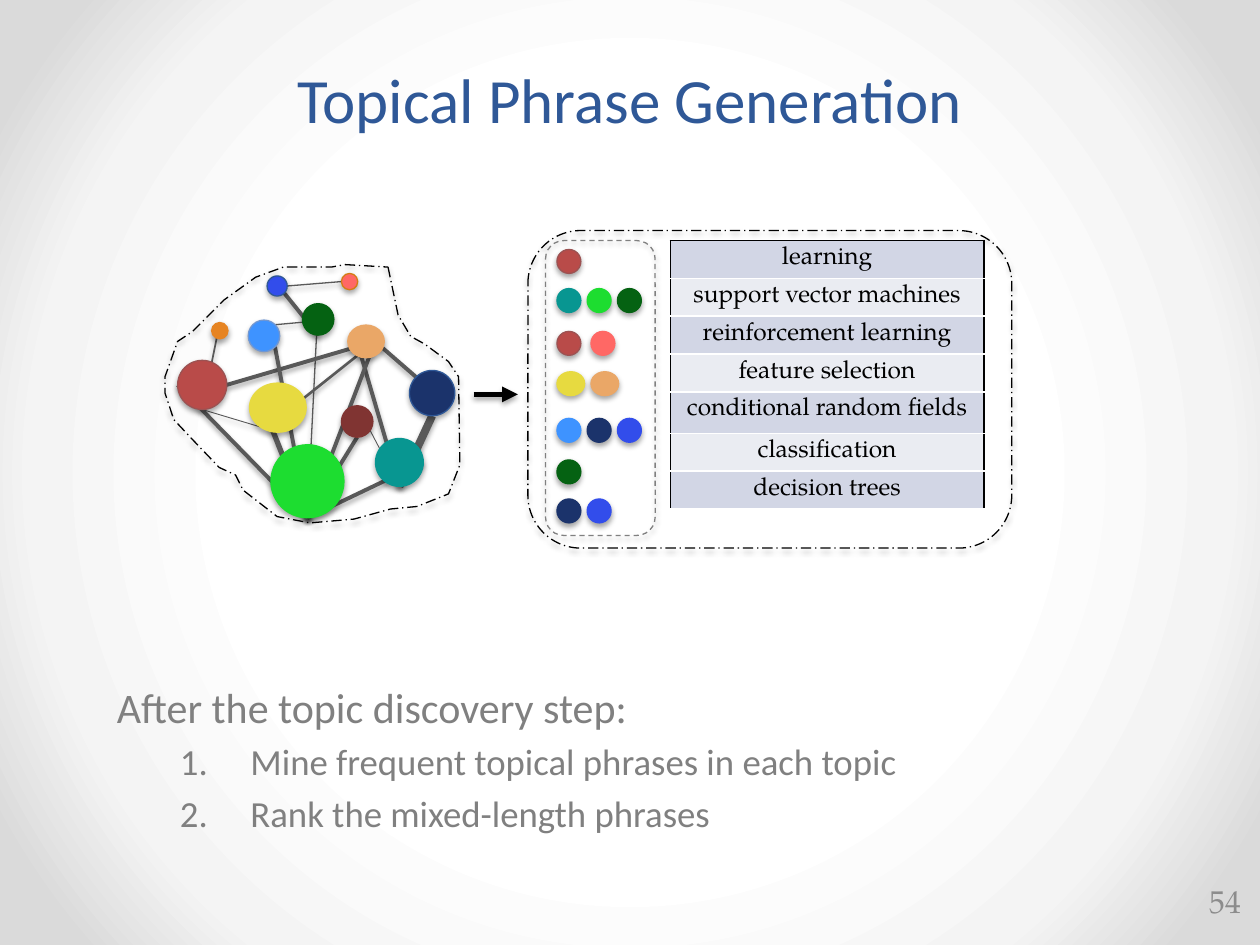
"""Builds the Topical Phrase Generation slide: term network, arrow, ranked phrases and steps."""
from lxml.etree import SubElement
from pptx import Presentation
from pptx.dml.color import RGBColor
from pptx.enum.dml import MSO_LINE as DASH
from pptx.enum.shapes import MSO_CONNECTOR as LINK, MSO_SHAPE as SHAPE
from pptx.enum.text import MSO_ANCHOR as ANCHOR, PP_ALIGN as ALIGN
from pptx.oxml import parse_xml
from pptx.oxml.ns import nsdecls, qn
from pptx.util import Inches, Pt

COLORS = {
    "title": "2F5897", "body": "808080", "number": "8C8C8C", "black": "000000",
    "white": "FFFFFF", "link": "595959", "band": "D2D6E5", "pale": "EAECF2",
    "glow": "F4F4F4", "rim": "DADADA",
    "sky": "3E93FF", "orange": "E68422", "pink": "FF6865", "blue": "324DEB",
    "green": "1DDD30", "yellow": "E7DA40", "brick": "B94B49", "maroon": "803432",
    "teal": "089691", "navy": "1B336B", "forest": "056212", "sand": "EAA767",
    "sky edge": "7097D3", "pink edge": "D47D13", "brick edge": "9C5252",
}
RGB = {name: RGBColor.from_string(value) for name, value in COLORS.items()}
SANS, SERIF = "Calibri", "TeX Gyre Pagella"
FORMATS = {
    "title": {"size": Pt(36), "name": SANS},
    "lead": {"size": Pt(24), "name": SANS},
    "step": {"size": Pt(21), "name": SANS},
    "phrase": {"size": Pt(14), "name": SERIF},
    "number": {"size": Pt(18), "name": SERIF},
}


def write(para, text, style, color):
    span = para.add_run()
    span.text = text
    for attribute, value in FORMATS[style].items():
        setattr(span.font, attribute, value)
    span.font.color.rgb = RGB[color]


def outline(shape, color, width=0.75, dash=None):
    shape.line.color.rgb = RGB[color]
    shape.line.width = Pt(width)
    if dash:
        shape.line.dash_style = dash
    shape.element.spPr.append(parse_xml(
        f'<a:effectLst {nsdecls("a")}><a:outerShdw blurRad="{Pt(3.1)}" dist="{Pt(1.8)}" '
        f'dir="5400000" rotWithShape="0"><a:srgbClr val="{COLORS["black"]}">'
        '<a:alpha val="35000"/></a:srgbClr></a:outerShdw></a:effectLst>'))


deck = Presentation()
deck.slide_width, deck.slide_height = Inches(10), Inches(7.5)
page = deck.slides.add_slide(deck.slide_layouts[5])
shapes = page.shapes

page.background.fill.solid()
background = page.element.find(".//" + qn("p:bgPr"))
stops = "".join(f'<a:gs pos="{percent * 1000}"><a:srgbClr val="{COLORS[name]}"/></a:gs>'
                for percent, name in ((50, "white"), (76, "glow"), (92, "rim")))
background.replace(background[0], parse_xml(
    f'<a:gradFill {nsdecls("a")} rotWithShape="1"><a:gsLst>{stops}</a:gsLst><a:path path="circle">'
    '<a:fillToRect l="50000" t="50000" r="50000" b="50000"/></a:path></a:gradFill>'))

title = shapes.title
title.left, title.top, title.width, title.height = Inches(0.5), Inches(0), Inches(9), Inches(1.13)
title.text_frame.vertical_anchor = ANCHOR.BOTTOM
heading = title.text_frame.paragraphs[0]
heading.alignment, heading.line_spacing = ALIGN.CENTER, Pt(58)
write(heading, "Topical Phrase Generation", "title", "title")

body = shapes.add_textbox(Inches(0.83), Inches(5.36), Inches(8.67), Inches(1.76)).text_frame
body.word_wrap = True
write(body.paragraphs[0], "After the topic discovery step:", "lead", "body")
for step in ("Mine frequent topical phrases in each topic", "Rank the mixed-length phrases"):
    para = body.add_paragraph()
    para.level, para.space_before = 1, Pt(4.2)
    settings = para._p.get_or_add_pPr()
    settings.set("marL", str(Inches(1.06)))
    settings.set("indent", str(Inches(-0.56)))
    SubElement(settings, qn("a:buFont"), typeface="+mj-lt")
    SubElement(settings, qn("a:buAutoNum"), type="arabicPeriod")
    write(para, step, "step", "body")

WORD_DOTS = {
    "learning": ("brick",),
    "support vector machines": ("teal", "green", "forest"),
    "reinforcement learning": ("brick", "pink"),
    "feature selection": ("yellow", "sand"),
    "conditional random fields": ("sky", "navy", "blue"),
    "classification": ("forest",),
    "decision trees": ("navy", "blue"),
}
longest = max(WORD_DOTS, key=len)
frame = shapes.add_table(len(WORD_DOTS), 1, Inches(5.32), Inches(1.91), Inches(2.49), Inches(2.13))
for row, phrase in enumerate(WORD_DOTS):
    frame.table.rows[row].height = Inches(0.33 if phrase == longest else 0.3)
    cell = frame.table.cell(row, 0)
    cell.margin_left = cell.margin_right = cell.margin_top = Inches(0.05)
    cell.margin_bottom = Inches(0)
    para = cell.text_frame.paragraphs[0]
    para.alignment = ALIGN.CENTER
    write(para, phrase, "phrase", "black")
    borders = {"lnL": "black", "lnR": "black", "lnT": "white" if row else "black", "lnB": "white"}
    for side, color in borders.items():
        border = SubElement(cell._tc.get_or_add_tcPr(), qn("a:" + side), w=str(Pt(1)))
        SubElement(SubElement(border, qn("a:solidFill")), qn("a:srgbClr"), val=COLORS[color])
    cell.fill.solid()
    cell.fill.fore_color.rgb = RGB["pale" if row % 2 else "band"]

NODES = {
    "sky": (1.97, 2.54, 0.25, 0.25), "orange": (1.68, 2.56, 0.13, 0.13),
    "pink": (2.71, 2.17, 0.13, 0.13), "blue": (2.12, 2.19, 0.16, 0.16),
    "green": (2.15, 3.53, 0.58, 0.58), "yellow": (1.98, 3.04, 0.45, 0.39),
    "brick": (1.41, 2.86, 0.39, 0.39), "maroon": (2.71, 3.22, 0.25, 0.25),
    "teal": (2.98, 3.48, 0.38, 0.38), "navy": (3.25, 2.94, 0.36, 0.36),
    "forest": (2.4, 2.41, 0.25, 0.25), "sand": (2.76, 2.58, 0.29, 0.26),
}
NODE_EDGES = {"sky": "sky edge", "pink": "pink edge", "brick": "brick edge",
              "blue": "title", "navy": "title"}
SITES = {
    "top": (0, -1), "bottom": (0, 1), "left": (-1, 0), "right": (1, 0),
    "top-left": (-0.7, -0.7), "top-right": (0.7, -0.7), "bottom-right": (0.7, 0.7),
    "inner-left": (-0.5, 0), "inner-right": (0.5, 0),
}
LINKS = (
    ("forest top", "green bottom", 0.75), ("sand inner-right", "yellow inner-right", 1.5),
    ("blue bottom-right", "forest bottom", 2.25), ("brick right", "sand inner-right", 2.25),
    ("navy top-left", "sand inner-right", 2.25), ("orange top", "brick bottom", 1),
    ("green bottom", "maroon bottom", 2.25), ("sky bottom-right", "green bottom", 2.25),
    ("green bottom", "teal right", 2.25), ("sky top-right", "forest right", 0.75),
    ("navy bottom", "teal bottom", 4.5), ("sand inner-left", "teal bottom", 2.25),
    ("maroon top", "teal bottom", 0.5), ("yellow inner-left", "green bottom", 3),
    ("sand inner-right", "green bottom", 2.25), ("brick left", "green bottom", 2.25),
    ("yellow bottom", "brick bottom", 0.5), ("blue right", "pink left", 0.75),
)
for *ends, weight in LINKS:
    points = []
    for end in ends:
        name, site = end.split()
        left, top, width, height = NODES[name]
        across, down = SITES[site]
        points += [left + width * (1 + across) / 2, top + height * (1 + down) / 2]
    outline(shapes.add_connector(LINK.STRAIGHT, *map(Inches, points)), "link", weight)

arrow = shapes.add_connector(LINK.STRAIGHT, Inches(3.76), Inches(3.13), Inches(4.11), Inches(3.13))
outline(arrow, "black", 3)
SubElement(arrow.element.spPr.find(qn("a:ln")), qn("a:tailEnd"), type="triangle")

circles = [(place, name, NODE_EDGES.get(name, name)) for name, place in NODES.items()]
DOT_SIZE, DOT_LEFT = 0.19, 4.42
DOT_TOPS = (1.98, 2.29, 2.63, 2.95, 3.32, 3.65, 3.96)
for top, (phrase, names) in zip(DOT_TOPS, WORD_DOTS.items()):
    is_wide = phrase == "feature selection"
    pitch = 0.27 if is_wide or "pink" in names else 0.24
    for column, name in enumerate(names):
        place = (DOT_LEFT + column * pitch, top, 0.22 if is_wide else DOT_SIZE, DOT_SIZE)
        circles.append((place, name, "brick edge" if name == "brick" else name))
for place, color, edge in circles:
    circle = shapes.add_shape(SHAPE.OVAL, *map(Inches, place))
    circle.fill.solid()
    circle.fill.fore_color.rgb = RGB[color]
    outline(circle, edge)

CLOUD_SIDES = {
    "right": ((3.08, 2.12), (3.16, 2.5), (3.26, 2.67), (3.37, 2.73), (3.56, 2.87), (3.64, 2.99)),
    "bottom": ((3.65, 3.69), (3.56, 3.92), (3.31, 4.02), (3.1, 4.04), (2.81, 4.12), (2.46, 4.15)),
    "left": ((2.2, 4.1), (1.93, 3.89), (1.87, 3.77), (1.74, 3.71), (1.53, 3.49), (1.38, 3.33)),
    "top": ((1.31, 3.12), (1.31, 2.99), (1.41, 2.71), (1.53, 2.63), (1.78, 2.38), (2.03, 2.2),
            (2.25, 2.12), (2.63, 2.12), (2.74, 2.1)),
}
start, *corners = [tuple(map(Inches, point)) for side in CLOUD_SIDES.values() for point in side]
builder = shapes.build_freeform(*start)
builder.add_line_segments(corners, close=True)
cloud = builder.convert_to_shape()
phrase_box = shapes.add_shape(
    SHAPE.ROUNDED_RECTANGLE, Inches(4.19), Inches(1.83), Inches(3.84), Inches(2.52))
dot_box = shapes.add_shape(
    SHAPE.ROUNDED_RECTANGLE, Inches(4.33), Inches(1.91), Inches(0.87), Inches(2.34))
for border_shape, color, dash in ((cloud, "black", DASH.LONG_DASH_DOT),
                                  (phrase_box, "black", DASH.LONG_DASH_DOT),
                                  (dot_box, "body", DASH.DASH)):
    border_shape.fill.background()
    outline(border_shape, color, dash=dash)

number = shapes.add_textbox(Inches(9.34), Inches(6.95), Inches(0.61), Inches(0.4)).text_frame
number.word_wrap, number.vertical_anchor = True, ANCHOR.MIDDLE
number.paragraphs[0].alignment = ALIGN.RIGHT
write(number.paragraphs[0], "54", "number", "number")

deck.save("out.pptx")
